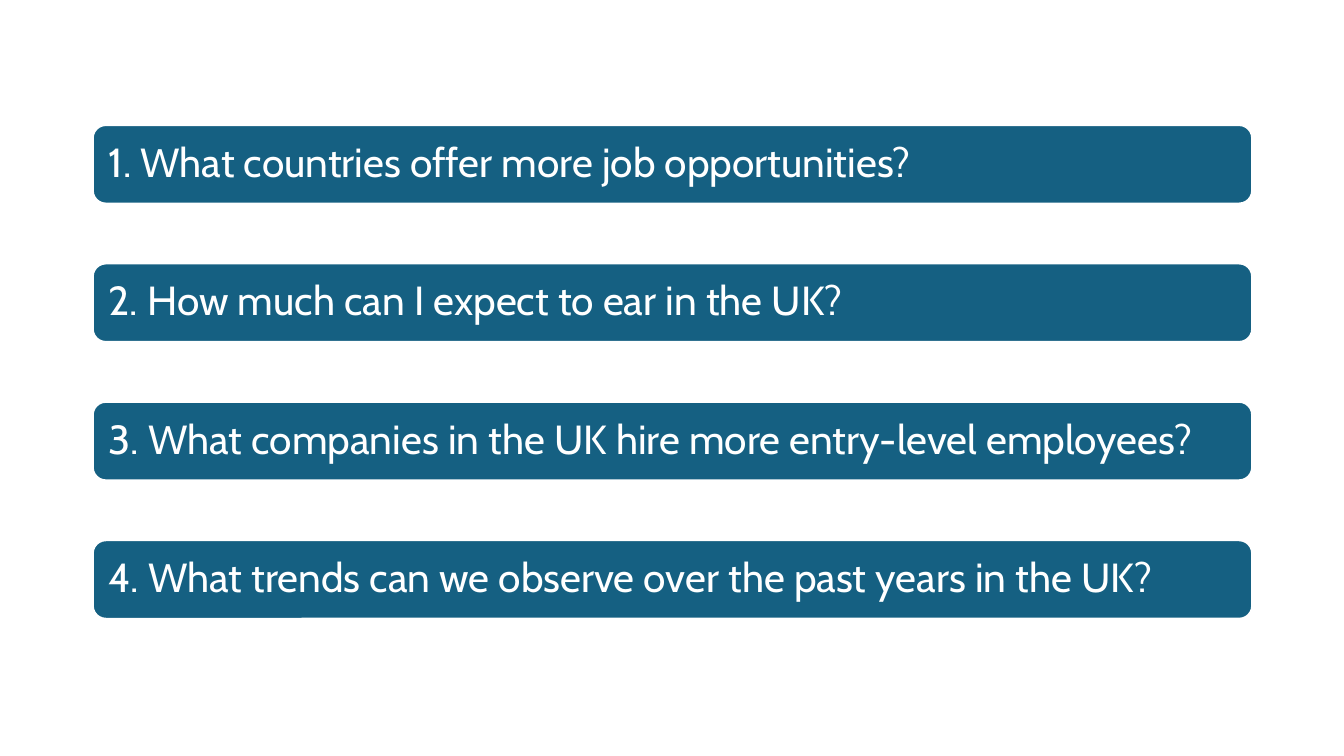
from dataclasses import dataclass

from pptx import Presentation
from pptx.dml.color import RGBColor
from pptx.enum.shapes import MSO_SHAPE
from pptx.enum.text import MSO_ANCHOR, PP_ALIGN
from pptx.util import Inches, Pt


@dataclass(frozen=True)
class Theme:
    bar: RGBColor = RGBColor(0x15, 0x60, 0x82)
    light: RGBColor = RGBColor(0xFF, 0xFF, 0xFF)
    font: str = "Cabin"
    question_size: Pt = Pt(29)
    outline: Pt = Pt(1.5)


THEME = Theme()

QUESTIONS = [
    "1. What countries offer more job opportunities?",
    "2. How much can I expect to ear in the UK?",
    "3. What companies in the UK hire more entry-level employees?",
    "4. What trends can we observe over the past years in the UK?",
]

BAR_LEFT, BAR_WIDTH, BAR_HEIGHT = 0.92, 11.5, 0.78
FIRST_TOP, BAR_PITCH = 1.24, 1.373
CORNER = 1 / 6
TEXT_INSET = 0.12


def add_question_bar(slide, top, question):
    sp = slide.shapes.add_shape(
        MSO_SHAPE.ROUNDED_RECTANGLE,
        Inches(BAR_LEFT), Inches(top), Inches(BAR_WIDTH), Inches(BAR_HEIGHT),
    )
    sp.adjustments[0] = CORNER
    sp.shadow.inherit = False
    sp.fill.solid()
    sp.fill.fore_color.rgb = THEME.bar
    sp.line.color.rgb = THEME.light
    sp.line.width = THEME.outline

    tf = sp.text_frame
    tf.word_wrap = True
    tf.vertical_anchor = MSO_ANCHOR.MIDDLE
    tf.margin_left = tf.margin_right = Inches(TEXT_INSET)
    tf.margin_top = tf.margin_bottom = Inches(TEXT_INSET)

    p = tf.paragraphs[0]
    p.alignment = PP_ALIGN.LEFT
    p.line_spacing = 0.9
    r = p.add_run()
    r.text = question
    r.font.name = THEME.font
    r.font.size = THEME.question_size
    r.font.color.rgb = THEME.light


def main():
    prs = Presentation()
    prs.slide_width, prs.slide_height = Inches(13.33), Inches(7.5)
    blank_layout = prs.slide_layouts.get_by_name("Blank")
    slide = prs.slides.add_slide(blank_layout)
    for i, question in enumerate(QUESTIONS):
        add_question_bar(slide, FIRST_TOP + i * BAR_PITCH, question)
    prs.save("out.pptx")


if __name__ == "__main__":
    main()
